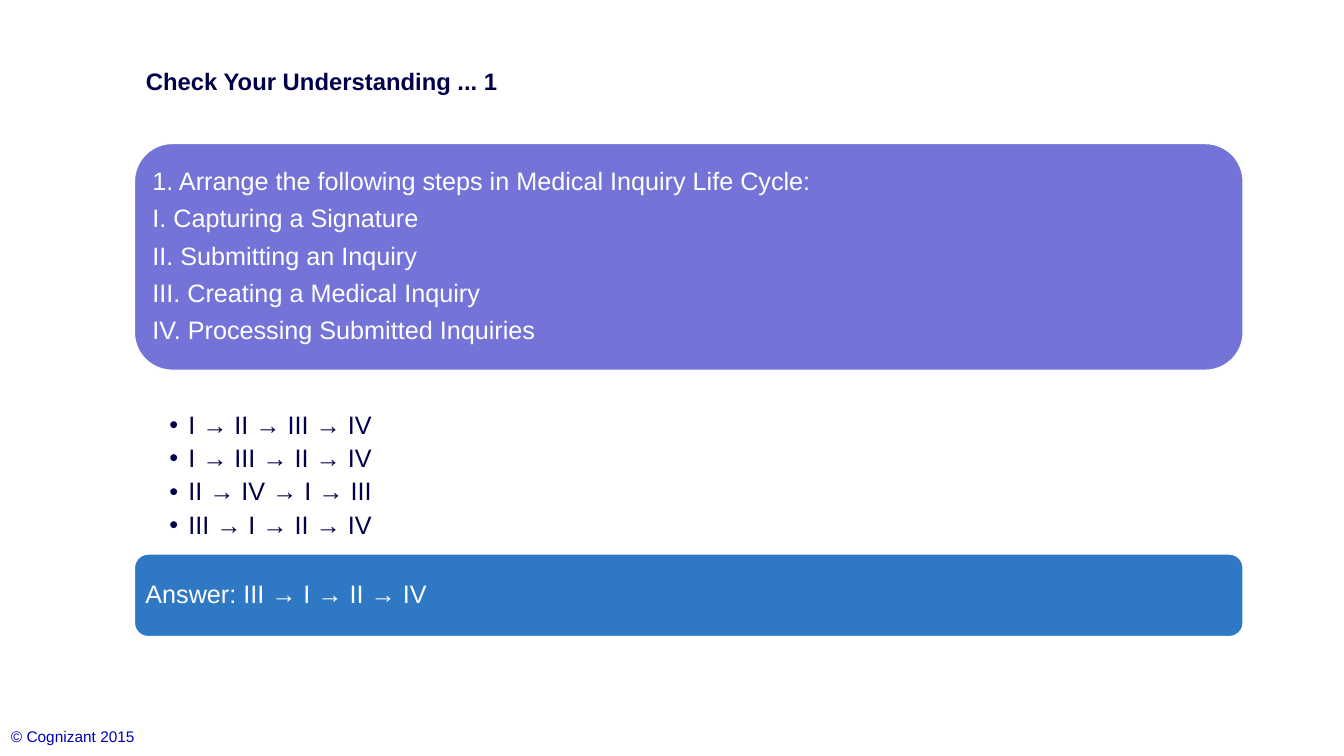
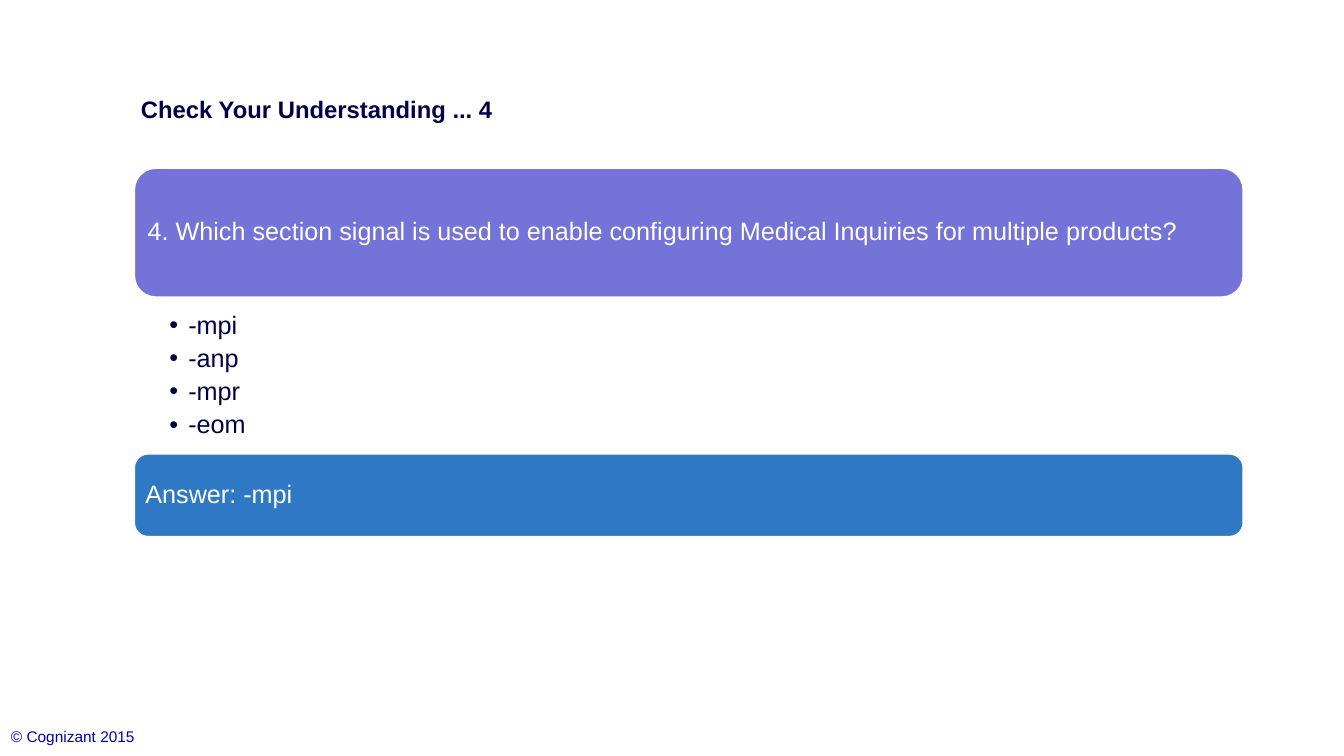
from pptx import Presentation
from pptx.dml.color import RGBColor
from pptx.enum.shapes import MSO_SHAPE as Shape
from pptx.enum.text import MSO_ANCHOR as Anchor, MSO_AUTO_SIZE as AutoSize, PP_ALIGN as Align
from pptx.oxml.ns import qn
from pptx.util import Pt
from lxml.etree import SubElement

NAVY = RGBColor(0x00, 0x00, 0x48)
BLUE = RGBColor(0x00, 0x00, 0xB6)
VIOLET = RGBColor(0x73, 0x73, 0xD8)
AZURE = RGBColor(0x2F, 0x78, 0xC4)
WHITE = RGBColor(0xFF, 0xFF, 0xFF)

FONT = "Arial"
TITLE_SIZE, TEXT_SIZE, FOOTER_SIZE = 17, 18, 11
LEFT, WIDTH = 96, 792
OPTIONS_HEIGHT, ANSWER_HEIGHT = 93, 59
ANSWER_OFFSET = 102.75  # from the top of the options to the answer
FOOTER = "© Cognizant 2015"

QUIZ = [
    dict(
        title="Check Your Understanding ... 1", title_at=(97, 31.7),
        question=[
            "1. Arrange the following steps in Medical Inquiry Life Cycle:",
            "I. Capturing a Signature",
            "II. Submitting an Inquiry",
            "III. Creating a Medical Inquiry",
            "IV. Processing Submitted Inquiries",
        ],
        question_top=102.5, question_height=162,
        options=["I → II → III → IV", "I → III → II → IV",
                 "II → IV → I → III", "III → I → II → IV"],
        options_top=293, answer="Answer: III → I → II → IV",
    ),
    dict(
        title="Check Your Understanding ... 4", title_at=(93.5, 51.7),
        question=["4. Which section signal is used to enable configuring "
                  "Medical Inquiries for multiple products?"],
        question_top=120.2, question_height=92,
        options=["-mpi", "-anp", "-mpr", "-eom"],
        options_top=221.5, answer="Answer: -mpi",
    ),
]


class QuizDeck:
    """Holds the style and the slide being built; lengths are in points."""

    def __init__(self):
        self.presentation = Presentation()
        self.presentation.slide_width = Pt(960)
        self.presentation.slide_height = Pt(540)
        self.slide = None

    def new_slide(self):
        layout = self.presentation.slide_layouts[1]
        self.slide = self.presentation.slides.add_slide(layout)

    def place(self, shape, left, top, width, height):
        shape.left, shape.top = Pt(left), Pt(top)
        shape.width, shape.height = Pt(width), Pt(height)

    def set_text(self, shape, lines, size, color, anchor=Anchor.TOP,
                 margins=(7.2, 3.6, 7.2, 3.6), bold=False, line_spacing=1.0,
                 space_after=0, bullets=False):
        """Fill a shape with one paragraph per line; margins run left, top, right, bottom."""
        frame = shape.text_frame
        frame.text = "\n".join(lines)
        frame.word_wrap = True
        frame.auto_size = AutoSize.NONE
        frame.vertical_anchor = anchor
        (frame.margin_left, frame.margin_top,
         frame.margin_right, frame.margin_bottom) = map(Pt, margins)
        for paragraph in frame.paragraphs:
            if bullets:
                self.add_bullet(paragraph)
            paragraph.alignment = Align.LEFT
            paragraph.line_spacing = line_spacing
            paragraph.space_before = Pt(0)
            paragraph.space_after = Pt(space_after)
            for run in paragraph.runs:
                font = run.font
                font.name, font.size, font.bold = FONT, Pt(size), bold
                font.color.rgb = color

    def add_bullet(self, paragraph, indent=13.5):
        properties = paragraph._p.get_or_add_pPr()
        properties.set("marL", str(Pt(indent)))
        properties.set("indent", str(-Pt(indent)))
        SubElement(properties, qn("a:buFont"), typeface=FONT)
        SubElement(properties, qn("a:buChar"), char="•")

    def title(self, text, left, top):
        title = self.slide.shapes.title
        self.place(title, left, top, 546, 52.5)
        self.set_text(title, [text], TITLE_SIZE, NAVY, Anchor.MIDDLE, bold=True)

    def panel(self, lines, top, height, fill):
        panel = self.slide.shapes.add_shape(
            Shape.ROUNDED_RECTANGLE, Pt(LEFT), Pt(top), Pt(WIDTH), Pt(height))
        panel.shadow.inherit = False
        panel.fill.solid()
        panel.fill.fore_color.rgb = fill
        panel.line.color.rgb = WHITE
        panel.line.width = Pt(1)
        self.set_text(panel, lines, TEXT_SIZE, WHITE, Anchor.MIDDLE, margins=(5, 5, 5, 5),
                      line_spacing=0.9, space_after=7.1)

    def options(self, lines, top):
        body = self.slide.placeholders[1]
        self.place(body, LEFT, top, WIDTH, OPTIONS_HEIGHT)
        self.set_text(body, lines, TEXT_SIZE, NAVY, margins=(25, 2, 10, 2),
                      line_spacing=0.9, space_after=4.2, bullets=True)

    def footer(self):
        footer = self.slide.shapes.add_textbox(Pt(0.7), Pt(516), Pt(144), Pt(18))
        self.set_text(footer, [FOOTER], FOOTER_SIZE, BLUE)


def main():
    deck = QuizDeck()
    for item in QUIZ:
        deck.new_slide()
        deck.title(item["title"], *item["title_at"])
        deck.panel(item["question"], item["question_top"], item["question_height"], VIOLET)
        deck.options(item["options"], item["options_top"])
        deck.panel([item["answer"]], item["options_top"] + ANSWER_OFFSET, ANSWER_HEIGHT, AZURE)
        deck.footer()
    deck.presentation.save("out.pptx")


if __name__ == "__main__":
    main()
